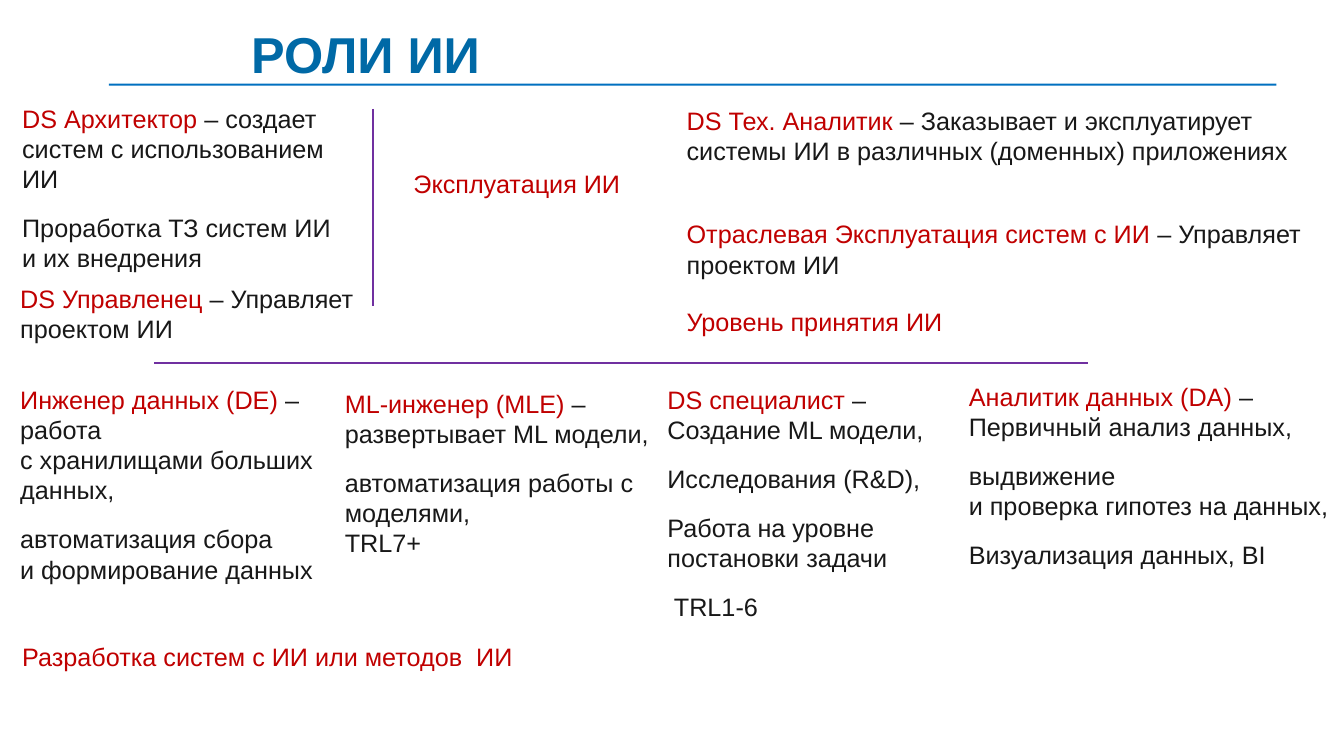
"""Build the slide on AI roles, with lengths given as percentages of the slide."""
import dataclasses

import lxml.etree
import pptx
import pptx.dml.color
import pptx.enum.shapes
import pptx.enum.text
import pptx.oxml.ns
import pptx.util


@dataclasses.dataclass
class Theme:
    font: str = "Arial"
    title: str = "0069A6"
    rule: str = "0070C0"
    accent: str = "C00000"
    body: str = "181818"
    divider: str = "7030A0"
    title_size: int = 36
    body_size: int = 18
    line_pitch: float = 21.6
    gap: float = 13.3


theme = Theme()
deck = pptx.Presentation()
deck.slide_width = pptx.util.Inches(13.33)
deck.slide_height = pptx.util.Inches(7.5)
page = deck.slides.add_slide(deck.slide_layouts[5])


def place(left, top, width, height):
    across, down = deck.slide_width / 100, deck.slide_height / 100
    return [round(left * across), round(top * down), round(width * across), round(height * down)]


def write(para, text, *, color, size=theme.body_size, bold=False):
    for number, line in enumerate(text.split("\n")):
        if number:
            para.add_line_break()
        span = para.add_run()
        span.text = line
        span.font.name = theme.font
        span.font.size = pptx.util.Pt(size)
        span.font.bold = bold
        span.font.color.rgb = pptx.dml.color.RGBColor.from_string(color)


title = page.shapes.title
title.left, title.top, title.width, title.height = place(17.93, 1.73, 67.14, 7.6)
frame = title.text_frame
frame.auto_size = pptx.enum.text.MSO_AUTO_SIZE.NONE
frame.vertical_anchor = pptx.enum.text.MSO_ANCHOR.TOP
frame.margin_left = frame.margin_right = frame.margin_top = pptx.util.Inches(0.1)
frame.paragraphs[0].alignment = pptx.enum.text.PP_ALIGN.LEFT
write(frame.paragraphs[0], "РОЛИ ИИ", color=theme.title, size=theme.title_size, bold=True)

title_rule = page.shapes.add_shape(
    pptx.enum.shapes.MSO_SHAPE.RECTANGLE, *place(8.1, 11.07, 86.87, 0.27))
title_rule.shadow.inherit = False
title_rule.fill.solid()
title_rule.fill.fore_color.rgb = pptx.dml.color.RGBColor.from_string(theme.rule)
title_rule.line.fill.background()

roles = [
    ((1.65, 13.6, 24.16, 31.47), "DS Архитектор ",
     ["– создает систем с использованием ИИ", "Проработка ТЗ систем ИИ и их внедрения"]),
    ((1.5, 37.47, 26.26, 10.53), "DS Управленец ", ["– Управляет проектом ИИ"]),
    ((30.76, 22.27, 26.26, 6.53), "Эксплуатация ИИ", []),
    ((51.09, 13.87, 45.99, 10.53), "DS Тех. Аналитик ",
     ["– Заказывает и эксплуатирует системы ИИ в различных (доменных) приложениях"]),
    ((51.09, 28.93, 45.99, 10.53), "Отраслевая Эксплуатация систем с ИИ ",
     ["– Управляет проектом ИИ"]),
    ((51.09, 40.53, 31.81, 6.53), "Уровень принятия ИИ", []),
    ((1.5, 50.8, 23.63, 29.07), "Инженер данных (DE) ",
     ["– работа\nс хранилищами больших данных,",
      "автоматизация сбора\nи формирование данных"]),
    ((25.66, 51.33, 24.16, 25.07), "ML-инженер (MLE) ",
     ["–развертывает ML модели,", "автоматизация работы с моделями,\nTRL7+"]),
    ((49.66, 50.8, 23.03, 34), "DS специалист ",
     ["– Создание ML модели,", "Исследования (R&D),",
      "Работа на уровне постановки задачи", " TRL1-6"]),
    ((72.09, 50.4, 27.16, 27.47), "Аналитик данных (DA) ",
     ["– Первичный анализ данных,", "выдвижение\nи проверка гипотез на данных,",
      "Визуализация данных, BI"]),
    ((1.65, 84.8, 45.31, 6.53), "Разработка систем с ИИ или методов  ИИ", []),
]
for area, role, duties in roles:
    box = page.shapes.add_textbox(*place(*area))
    frame = box.text_frame
    frame.word_wrap = True
    frame.margin_left = frame.margin_right = frame.margin_top = frame.margin_bottom = 0
    write(frame.paragraphs[0], role, color=theme.accent)
    for number, duty in enumerate(duties):
        para = frame.add_paragraph() if number else frame.paragraphs[0]
        write(para, duty, color=theme.body)
    for para in frame.paragraphs:
        para.line_spacing = pptx.util.Pt(theme.line_pitch)
        para.space_after = pptx.util.Pt(theme.gap)

for start, end in [((11.48, 48), (80.95, 48)), ((27.76, 14.4), (27.76, 40.53))]:
    divider = page.shapes.add_connector(
        pptx.enum.shapes.MSO_CONNECTOR.STRAIGHT, *place(*start, *end))
    divider.line.color.rgb = pptx.dml.color.RGBColor.from_string(theme.divider)
    divider.line.width = pptx.util.Pt(1.25)
    lxml.etree.SubElement(divider._element.spPr, pptx.oxml.ns.qn("a:effectLst"))

deck.save("out.pptx")
